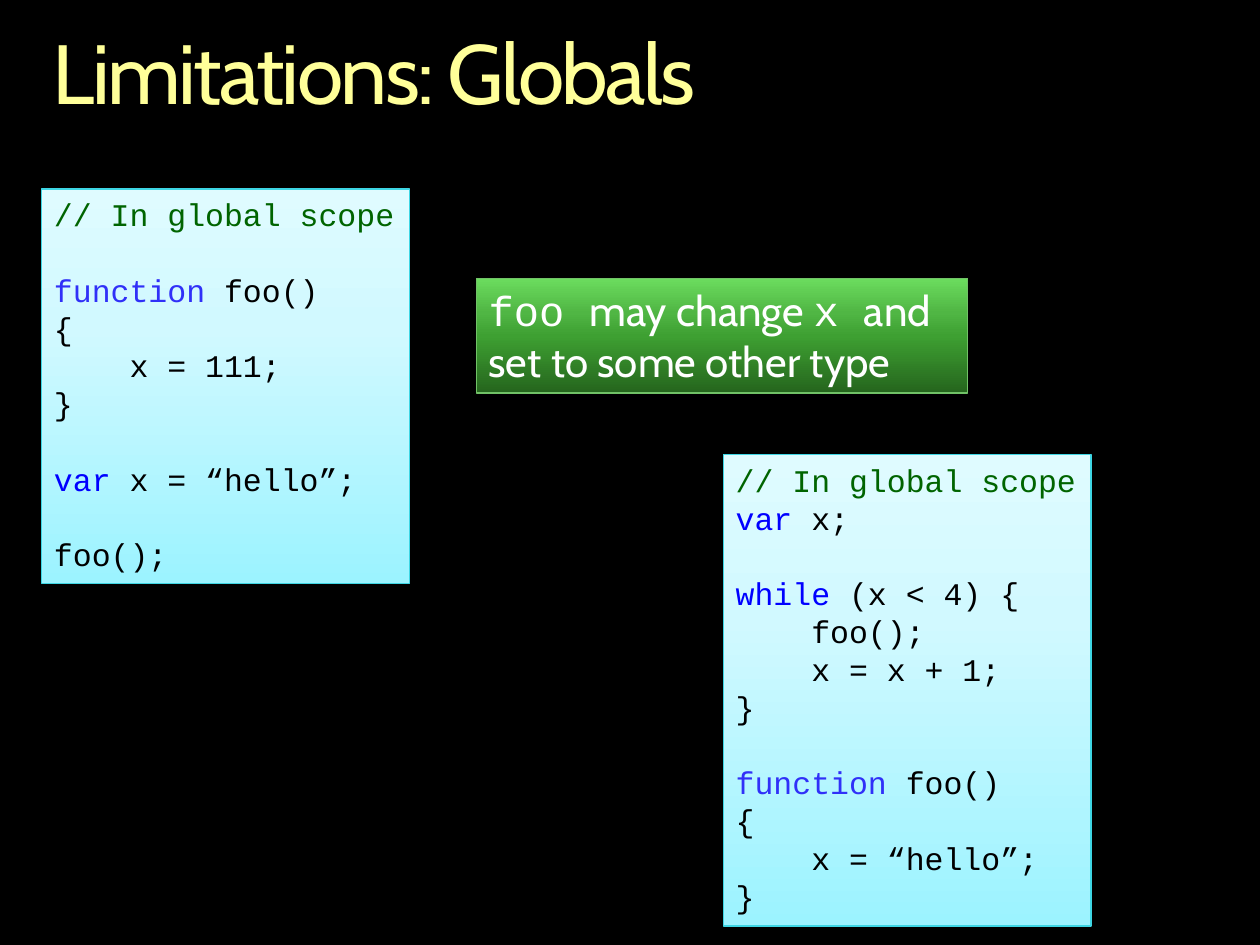
from lxml.etree import SubElement
from pptx import Presentation
from pptx.dml.color import RGBColor
from pptx.enum.shapes import MSO_SHAPE
from pptx.enum.text import MSO_ANCHOR, MSO_AUTO_SIZE, PP_ALIGN
from pptx.oxml.ns import qn
from pptx.util import Inches, Pt

BLACK, WHITE, GREEN, BLUE, INDIGO = "000000", "FFFFFF", "006400", "0000FF", "3030F8"
CODE, BODY = "Courier New", "Cabin"
CYAN_STOPS = [(0, "9CF3FF"), (65, "D1F9FF"), (100, "DFFBFF")]
GREEN_STOPS = [(0, "25651D"), (50, "3EA032"), (70, "50B644"), (100, "6BDC5E")]

COMMENT = [("// In global scope", GREEN)]
FOO_HEAD = [[("function", INDIGO), (" foo()", BLACK)], [("{", BLACK)]]
CLOSE = [("}", BLACK)]
GLOBAL_CODE = [
    COMMENT,
    [],
    *FOO_HEAD,
    [("    x = 111;", BLACK)],
    CLOSE,
    [],
    [("var ", BLUE), ("x = “hello”;", BLACK)],
    [],
    [("foo();", BLACK)],
]
LOOP_CODE = [
    COMMENT,
    [("var", BLUE), (" x;", BLACK)],
    [],
    [("while ", BLUE), ("(x < 4) {", BLACK)],
    [("    foo();", BLACK)],
    [("    x = x + 1;", BLACK)],
    CLOSE,
    [],
    *FOO_HEAD,
    [("    x = “hello”;", BLACK)],
    CLOSE,
]
NOTE = [
    [("foo ", CODE), ("may change ", BODY), ("x ", CODE), ("and", BODY)],
    [("set to some other type", BODY)],
]


def rgb(value):
    """Return the colour for a hex string."""
    return RGBColor.from_string(value)


class SlideBuilder:
    """Hold the style and the current slide."""

    def __init__(self, prs):
        """Add a title-only slide with a black background."""
        self.s = prs.slides.add_slide(prs.slide_layouts[5])
        fill = self.s.background.fill
        fill.solid()
        fill.fore_color.rgb = rgb(BLACK)

    def run(self, p, text, color, **fmt):
        """Append a formatted run to a paragraph."""
        r = p.add_run()
        r.text = text
        r.font.color.rgb = rgb(color)
        for name, value in fmt.items():
            setattr(r.font, name, value)
        return r

    def frame(self, sp, **fmt):
        """Format and return the text frame of a shape."""
        tf = sp.text_frame
        settings = {
            "word_wrap": True,
            "auto_size": MSO_AUTO_SIZE.NONE,
            "vertical_anchor": MSO_ANCHOR.TOP,
            **fmt,
        }
        for name, value in settings.items():
            setattr(tf, name, value)
        return tf

    def title(self, text, left, top, width, height):
        """Place and format the title."""
        sp = self.s.shapes.title
        sp.left, sp.top, sp.width, sp.height = map(Inches, (left, top, width, height))
        margins = ("margin_left", "margin_top", "margin_right", "margin_bottom")
        p = self.frame(sp, **dict.fromkeys(margins, 0)).paragraphs[0]
        p.alignment, p.line_spacing = PP_ALIGN.LEFT, 0.9
        r = self.run(p, text, "FFFF99", name=BODY, size=Pt(48))
        r.font._element.set("spc", "-150")

    def panel(self, left, top, width, height, stops, line):
        """Add a gradient rectangle and return its text frame."""
        sp = self.s.shapes.add_shape(
            MSO_SHAPE.RECTANGLE, *map(Inches, (left, top, width, height))
        )
        sp.shadow.inherit = False
        sp.fill.gradient()
        sp.fill.gradient_angle = 90
        gs_list = sp._element.spPr.find(qn("a:gradFill")).find(qn("a:gsLst"))
        for stop in list(gs_list):
            gs_list.remove(stop)
        for position, color in stops:
            gs = SubElement(gs_list, qn("a:gs"), pos=str(position * 1000))
            SubElement(gs, qn("a:srgbClr"), val=color)
        sp.line.color.rgb = rgb(line)
        sp.line.width = Pt(0.75)
        return self.frame(sp)

    def paragraphs(self, tf, count):
        """Yield left-aligned paragraphs of a text frame."""
        for i in range(count):
            p = tf.add_paragraph() if i else tf.paragraphs[0]
            p.alignment = PP_ALIGN.LEFT
            yield p

    def code(self, lines, left, top, height):
        """Add a code listing on a cyan panel."""
        tf = self.panel(left, top, 2.92, height, CYAN_STOPS, "3ED6E4")
        for p, line in zip(self.paragraphs(tf, len(lines)), lines):
            for text, color in line:
                self.run(p, text, color, name=CODE, size=Pt(18))

    def note(self, lines, left, top, width, height):
        """Add a remark on a green panel."""
        tf = self.panel(left, top, width, height, GREEN_STOPS, "71C267")
        for p, line in zip(self.paragraphs(tf, len(lines)), lines):
            for text, font in line:
                self.run(p, text, WHITE, name=font, size=Pt(24))


def main():
    """Build and save the slide."""
    prs = Presentation()
    prs.slide_width, prs.slide_height = Inches(10), Inches(7.5)
    s = SlideBuilder(prs)
    s.title("Limitations: Globals", 0.42, 0.25, 9.17, 0.73)
    s.code(LOOP_CODE, 5.74, 3.61, 3.74)
    s.note(NOTE, 3.78, 2.21, 3.9, 0.91)
    s.code(GLOBAL_CODE, 0.33, 1.5, 3.13)
    prs.save("out.pptx")


if __name__ == "__main__":
    main()
